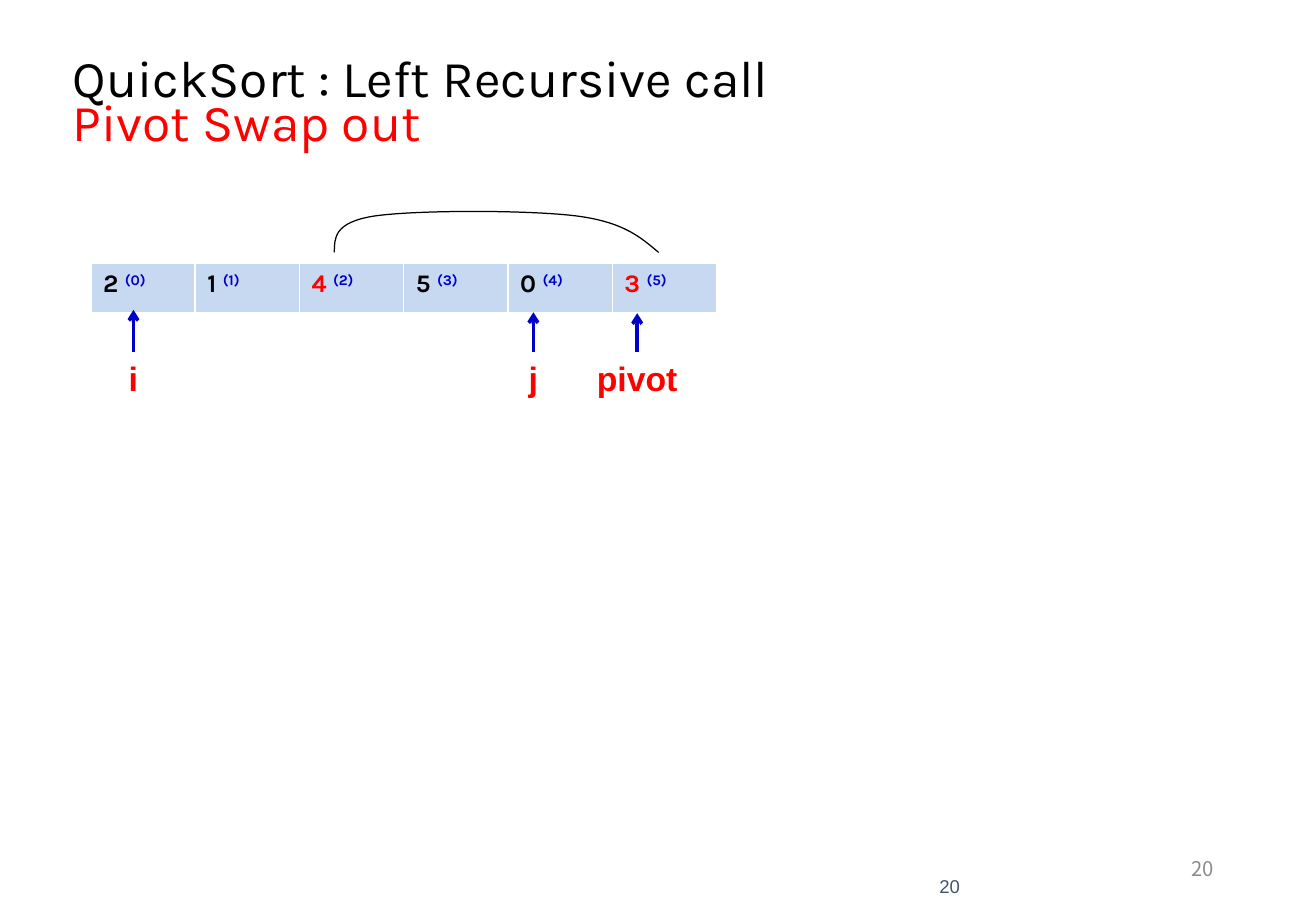
import dataclasses
import typing

import lxml.etree
import pptx
import pptx.dml.color
import pptx.enum.shapes
import pptx.enum.text
import pptx.oxml.ns
import pptx.shapes.autoshape
import pptx.slide
import pptx.text.text
import pptx.util

Cm = pptx.util.Cm
Pt = pptx.util.Pt
qn = pptx.oxml.ns.qn
Align = pptx.enum.text.PP_ALIGN
Anchor = pptx.enum.text.MSO_ANCHOR


@dataclasses.dataclass(frozen=True)
class Theme:
    black: str = "000000"
    white: str = "FFFFFF"
    red: str = "FF0000"
    blue: str = "0000CC"
    cell: str = "C6D9F1"
    grey: str = "8C8C8C"
    slate: str = "44546A"
    head: str = "Karla"
    body: str = "Arial"
    east: str = "Noto Sans CJK SC"
    title: float = 30.6
    label: float = 20
    value: float = 15
    page: float = 12
    foot: float = 11


THEME = Theme()


@dataclasses.dataclass(frozen=True)
class Bit:
    text: str
    font: str
    size: float
    hue: str
    bold: bool = False
    raised: bool = False


@dataclasses.dataclass(frozen=True)
class Box:
    """Left, top, width and height in centimetres."""
    left: float
    top: float
    width: float
    height: float


@dataclasses.dataclass(frozen=True)
class Mark:
    """A label centred at mid, with an arrow rising to tip."""
    text: str
    mid: float
    width: float
    tip: float


MARKS = [
    Mark("i", 2.79, 0.71, 6.48),
    Mark("pivot", 13.32, 2.18, 6.55),
    Mark("j", 11.15, 0.71, 6.53),
]
LABEL_TOP, LABEL_HIGH = 7.36, 1.09
LABEL_FRAME = {
    "word_wrap": False,
    "auto_size": pptx.enum.text.MSO_AUTO_SIZE.SHAPE_TO_FIT_TEXT,
    "margin_left": 0,
    "margin_right": 0,
}
VALUES = [2, 1, 4, 5, 0, 3]
SWAPPED = {2, 5}
ROW = Box(1.9, 5.51, 13.08, 1.07)
SWAP_START = (13.77, 5.28)
# Three points for each Bezier segment: two controls, then its end
SWAP_BENDS = [
    (13.41, 4.98), (13.06, 4.65), (12.07, 4.52),
    (11.07, 4.39), (8.69, 4.39), (7.82, 4.52),
    (6.99, 4.65), (6.99, 4.97), (6.99, 5.28),
]


def rgb(hue: str) -> pptx.dml.color.RGBColor:
    return pptx.dml.color.RGBColor.from_string(hue)


def style(thing: typing.Any, form: dict[str, typing.Any]) -> None:
    for name, value in form.items():
        setattr(thing, name, value)


def write(par: pptx.text.text._Paragraph, bits: list[Bit]) -> None:
    for bit in bits:
        run = par.add_run()
        run.text = bit.text
        style(run.font, {"name": bit.font, "size": Pt(bit.size), "bold": bit.bold})
        run.font.color.rgb = rgb(bit.hue)
        if bit.raised:
            run.font._element.set("baseline", "30000")


def add_text(slide: pptx.slide.Slide, box: Box, lines: list[Bit],
             frame: dict[str, typing.Any], para: dict[str, typing.Any]
             ) -> pptx.shapes.autoshape.Shape:
    """Add a one-paragraph text box, with a line break between lines."""
    shape = slide.shapes.add_textbox(*map(Cm, dataclasses.astuple(box)))
    style(shape.text_frame, {"word_wrap": True} | frame)
    par = shape.text_frame.paragraphs[0]
    style(par, para)
    for place, line in enumerate(lines):
        if place:
            par.add_line_break()
        write(par, [line])
    return shape


def add_row(slide: pptx.slide.Slide) -> None:
    table = slide.shapes.add_table(
        1, len(VALUES), *map(Cm, dataclasses.astuple(ROW))).table
    style(table, {"first_row": False, "horz_banding": False})
    for index, value in enumerate(VALUES):
        table.columns[index].width = Cm(ROW.width / len(VALUES))
        cell = table.cell(0, index)
        hue = THEME.red if index in SWAPPED else THEME.black
        write(cell.text_frame.paragraphs[0], [
            Bit(f"{value} ", THEME.head, THEME.value, hue, True),
            Bit(f"({index})", THEME.head, THEME.value, THEME.blue, True, True),
        ])
        props = cell._tc.get_or_add_tcPr()
        for side, width in {"lnL": 1, "lnR": 1, "lnT": 1, "lnB": 3}.items():
            edge = lxml.etree.SubElement(props, qn(f"a:{side}"), w=str(Pt(width)))
            fill = lxml.etree.SubElement(edge, qn("a:solidFill"))
            lxml.etree.SubElement(fill, qn("a:srgbClr"), val=THEME.white)
        cell.fill.solid()
        cell.fill.fore_color.rgb = rgb(THEME.cell)


def add_mark(slide: pptx.slide.Slide, mark: Mark) -> None:
    box = Box(mark.mid - mark.width / 2, LABEL_TOP, mark.width, LABEL_HIGH)
    label = add_text(
        slide, box, [Bit(mark.text, THEME.body, THEME.label, THEME.red, True)],
        LABEL_FRAME, {"alignment": Align.CENTER})
    arrow = slide.shapes.add_connector(
        pptx.enum.shapes.MSO_CONNECTOR.STRAIGHT,
        Cm(mark.mid), Cm(LABEL_TOP), Cm(mark.mid), Cm(mark.tip))
    arrow.begin_connect(label, 0)
    arrow.line.width = Pt(2)
    arrow.line.color.rgb = rgb(THEME.blue)
    lxml.etree.SubElement(arrow.line._get_or_add_ln(), qn("a:tailEnd"), type="arrow")
    lxml.etree.SubElement(arrow._element.spPr, qn("a:effectLst"))


def add_swap(slide: pptx.slide.Slide) -> None:
    """Draw the swap arc, turning each three line steps into one curve."""
    pen = slide.shapes.build_freeform(*map(Cm, SWAP_START))
    pen.add_line_segments([(Cm(x), Cm(y)) for x, y in SWAP_BENDS], close=False)
    arc = pen.convert_to_shape()
    arc.shadow.inherit = False
    arc.fill.background()
    arc.line.width = Pt(0.75)
    arc.line.color.rgb = rgb(THEME.black)
    steps = list(arc._element.iter(qn("a:lnTo")))
    for first in range(0, len(steps), 3):
        curve = lxml.etree.Element(qn("a:cubicBezTo"))
        steps[first].addprevious(curve)
        for step in steps[first:first + 3]:
            curve.append(step[0])
            step.getparent().remove(step)


def main() -> None:
    deck = pptx.Presentation()
    style(deck, {"slide_width": Cm(27.51), "slide_height": Cm(19.05)})
    slide = deck.slides.add_slide(deck.slide_layouts[6])
    middle = {"vertical_anchor": Anchor.MIDDLE}
    right = {"alignment": Align.RIGHT}
    add_text(slide, Box(19.43, 17.65, 6.2, 1.02),
             [Bit("20", THEME.east, THEME.page, THEME.grey)], middle, right)
    add_text(slide, Box(1.27, 1.06, 20.12, 2.34), [
        Bit("QuickSort : Left Recursive call", THEME.head, THEME.title, THEME.black),
        Bit("Pivot Swap out", THEME.head, THEME.title, THEME.red),
    ], middle, {"line_spacing": 0.7})
    add_row(slide)
    for mark in MARKS:
        add_mark(slide, mark)
    add_swap(slide)
    add_text(slide, Box(18.69, 18.21, 1.63, 0.64),
             [Bit("20", THEME.body, THEME.foot, THEME.slate)], middle, right)
    deck.save("out.pptx")


if __name__ == "__main__":
    main()
